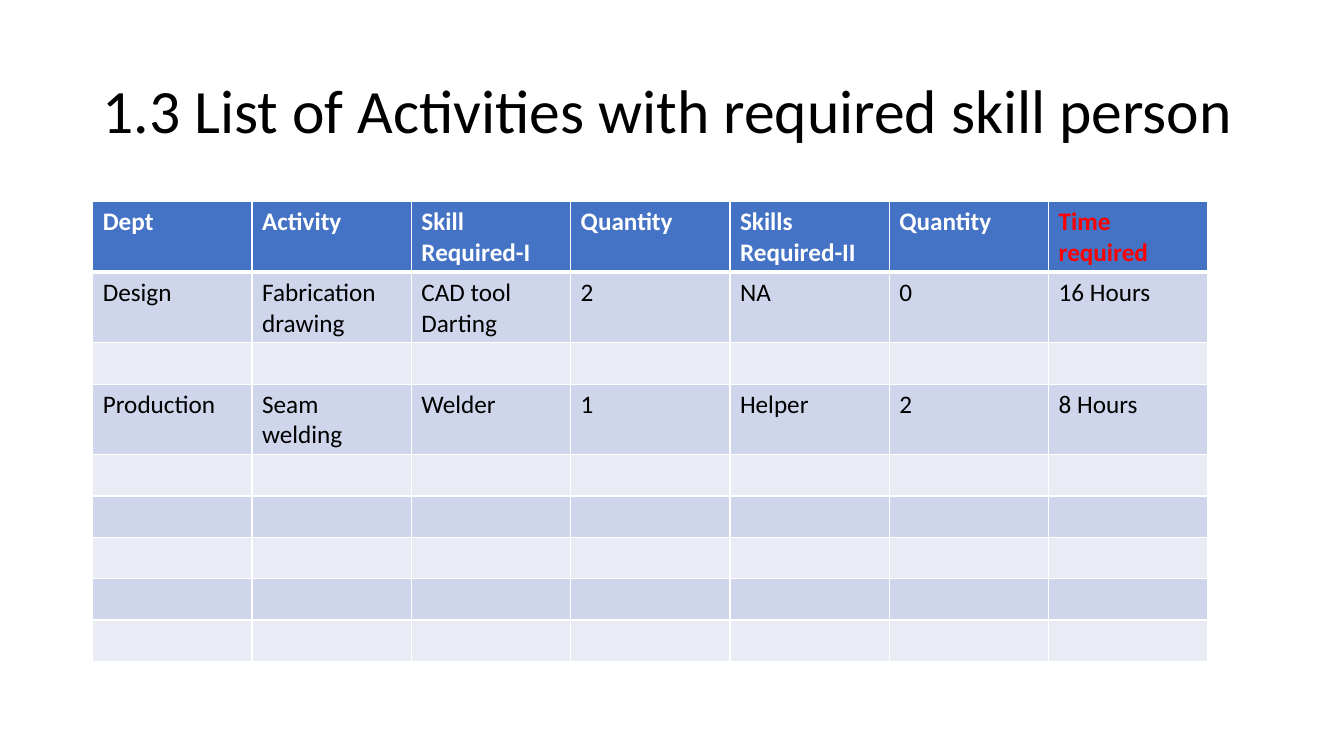
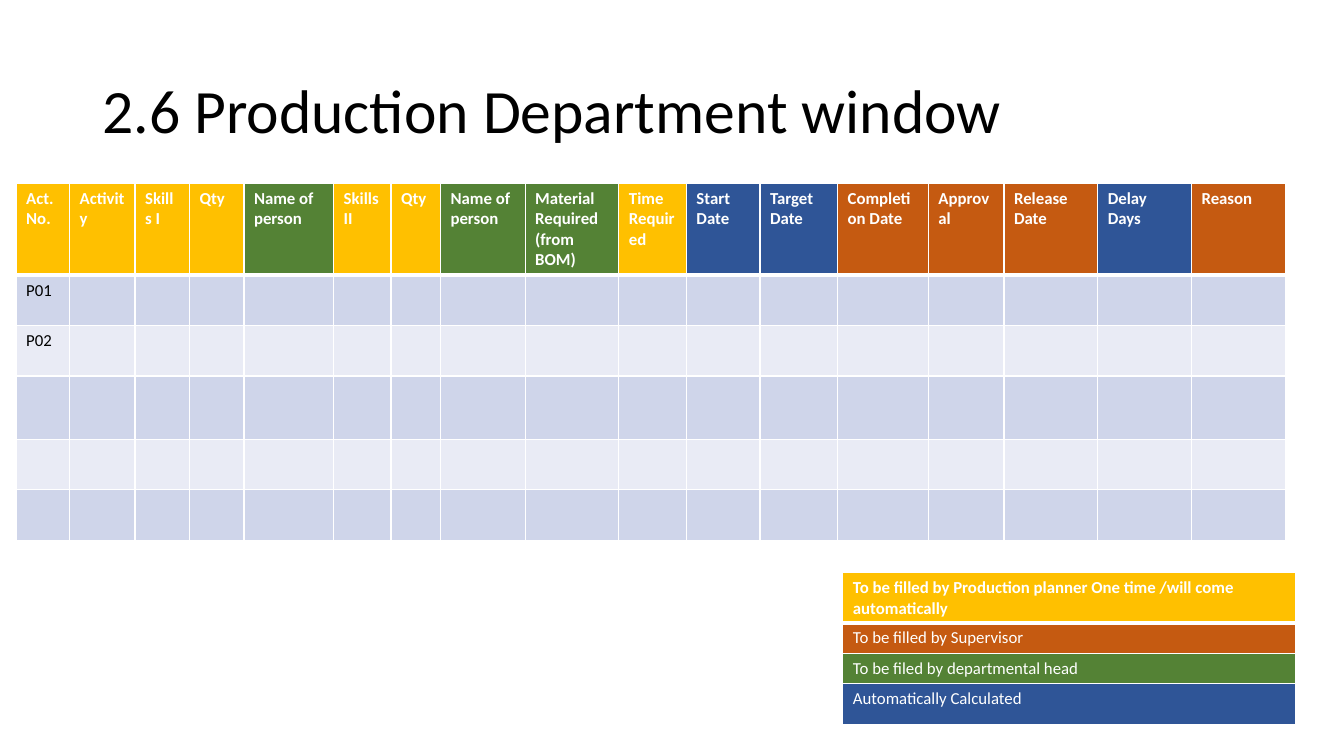
from lxml import etree
from pptx import Presentation
from pptx.dml.color import RGBColor
from pptx.enum import text
from pptx.oxml import ns
from pptx.util import Inches, Pt

FONT = "Calibri"
COLORS = {
    "white": "FFFFFF",
    "black": "000000",
    "red": "FF0000",
    "header": "4472C4",
    "band_dark": "CFD5EA",
    "band_light": "E9EBF5",
    "planner": "FFC000",
    "supervisor": "C55A11",
    "head": "548235",
    "auto": "2F5597",
}


def add_title_slide(title):
    s = prs.slides.add_slide(prs.slide_layouts[6])
    box = s.shapes.add_textbox(Inches(0.92), Inches(0.4), Inches(11.5), Inches(1.45))
    tf = box.text_frame
    tf.word_wrap = True
    tf.vertical_anchor = text.MSO_ANCHOR.MIDDLE
    p = tf.paragraphs[0]
    p.text = title
    p.line_spacing = 0.9
    p.font.name = FONT
    p.font.size = Pt(44)
    p.font.color.rgb = RGBColor.from_string(COLORS["black"])
    return s


def add_grid(s, left, top, widths, heights, rows, size, fills, body_color="black"):
    frame = s.shapes.add_table(len(heights), len(widths), Inches(left), Inches(top),
                               Inches(sum(widths)), Inches(sum(heights)))
    tbl = frame.table
    for col, width in zip(tbl.columns, widths):
        col.width = Inches(width)
    for i, height in enumerate(heights):
        tbl.rows[i].height = Inches(height)
        for j in range(len(widths)):
            cell = tbl.cell(i, j)
            tcPr = cell._tc.get_or_add_tcPr()
            edges = {"lnL": 1, "lnR": 1, "lnT": 3 if i == 1 else 1, "lnB": 3 if i == 0 else 1}
            for edge, weight in edges.items():
                ln = etree.SubElement(tcPr, ns.qn("a:" + edge), w=str(Pt(weight)))
                line_fill = etree.SubElement(ln, ns.qn("a:solidFill"))
                etree.SubElement(line_fill, ns.qn("a:srgbClr"), val=COLORS["white"])
            cell.fill.solid()
            cell.fill.fore_color.rgb = RGBColor.from_string(COLORS[fills[i][j]])
            p = cell.text_frame.paragraphs[0]
            if i < len(rows) and j < len(rows[i]):
                p.text = rows[i][j]
            p.font.name = FONT
            p.font.size = Pt(size)
            p.font.bold = i == 0
            color = "white" if i == 0 else body_color
            p.font.color.rgb = RGBColor.from_string(COLORS[color])
    return tbl


prs = Presentation()
prs.slide_width = Inches(13.33)
prs.slide_height = Inches(7.5)
bands = ["band_dark", "band_light"]

s = add_title_slide("1.3 List of Activities with required skill person")
activities = [
    ["Dept", "Activity", "Skill Required-I", "Quantity", "Skills Required-II", "Quantity",
     "Time required"],
    ["Design", "Fabrication drawing", "CAD tool Darting", "2", "NA", "0", "16 Hours"],
    [],
    ["Production", "Seam welding", "Welder", "1", "Helper", "2", "8 Hours"],
]
heights = [0.7, 0.7, 0.41, 0.7] + [0.41] * 5
fills = [["header"] * 7] + [[bands[i % 2]] * 7 for i in range(8)]
tbl = add_grid(s, 0.92, 2, [1.58] * 7, heights, activities, 18, fills)
time_font = tbl.cell(0, 6).text_frame.paragraphs[0].font
time_font.color.rgb = RGBColor.from_string(COLORS["red"])

s = add_title_slide("2.6 Production Department window")
columns = [
    ("Act. No.", 0.53, "planner"),
    ("Activity", 0.65, "planner"),
    ("Skills I", 0.54, "planner"),
    ("Qty", 0.54, "planner"),
    ("Name of person", 0.89, "head"),
    ("Skills II", 0.57, "planner"),
    ("Qty", 0.49, "planner"),
    ("Name of person", 0.84, "head"),
    ("Material Required (from BOM)", 0.93, "head"),
    ("Time Required", 0.67, "planner"),
    ("Start Date", 0.73, "auto"),
    ("Target Date", 0.77, "auto"),
    ("Completion Date", 0.9, "supervisor"),
    ("Approval", 0.75, "supervisor"),
    ("Release Date", 0.93, "supervisor"),
    ("Delay Days", 0.93, "auto"),
    ("Reason", 0.93, "supervisor"),
]
labels, widths, owners = zip(*columns)
fills = [owners] + [[bands[i % 2]] * len(columns) for i in range(5)]
add_grid(s, 0.16, 1.82, widths, [0.91, 0.5, 0.5, 0.63, 0.5, 0.5],
         [labels, ["P01"], ["P02"]], 12, fills)

legend = [
    ("To be filled by Production planner One time /will come automatically", 0.5, "planner"),
    ("To be filled by Supervisor", 0.3, "supervisor"),
    ("To be filed by departmental head", 0.3, "head"),
    ("Automatically Calculated", 0.41, "auto"),
]
add_grid(s, 8.36, 5.68, [4.49], [height for _, height, _ in legend],
         [[label] for label, _, _ in legend], 12, [[owner] for _, _, owner in legend], "white")

prs.save("out.pptx")
